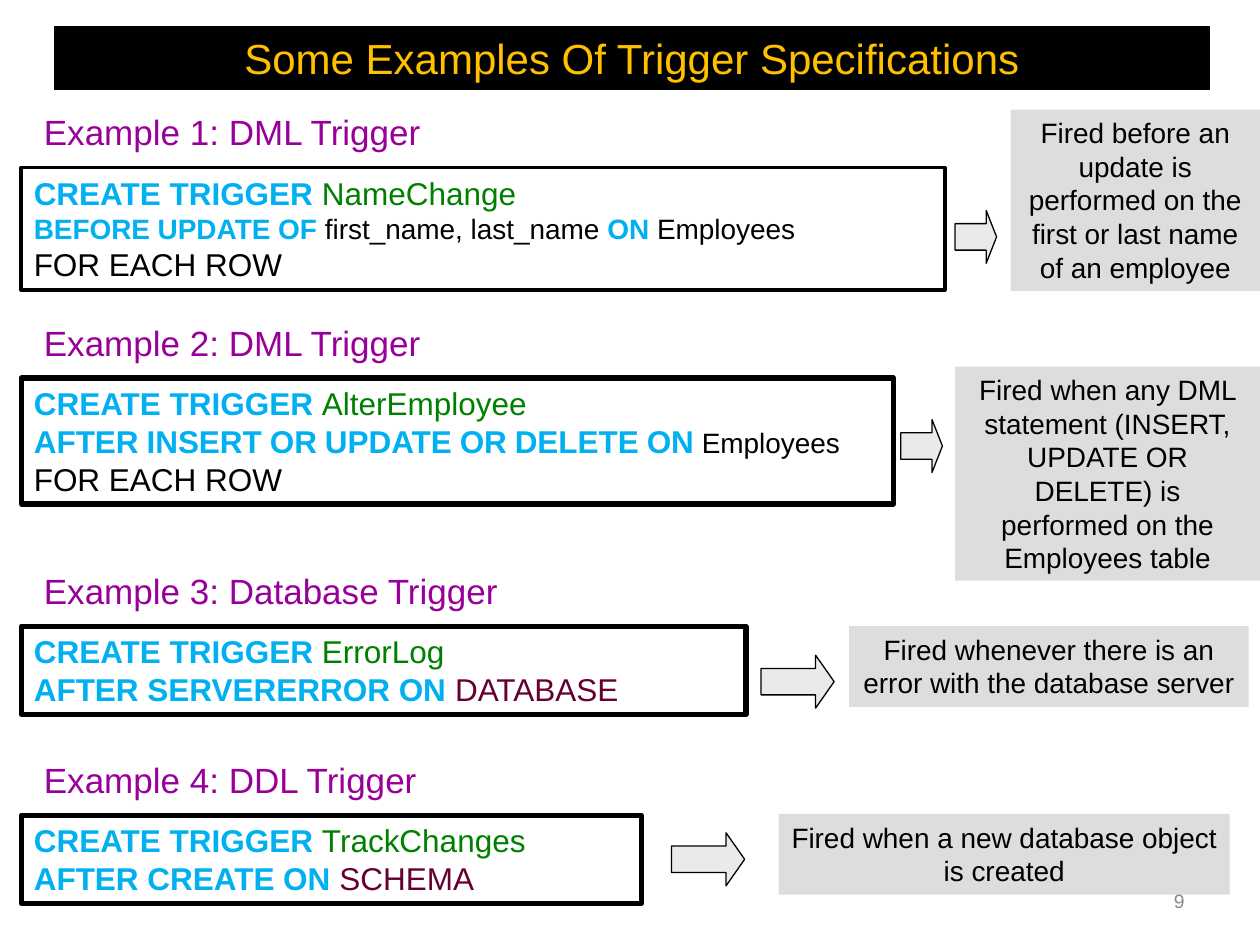
from dataclasses import dataclass

from pptx import Presentation
from pptx.dml.color import RGBColor
from pptx.enum.shapes import MSO_SHAPE as Shape
from pptx.enum.text import MSO_ANCHOR as Anchor, PP_ALIGN as Align
from pptx.util import Emu, Pt

PX = 9144


@dataclass(frozen=True)
class Style:
    """Size, colour and weight of a run."""
    size: int
    color: str
    bold: bool = False


class Theme:
    """Colours, type sizes and font of the slide."""
    font = "Arial"
    black, white = "000000", "FFFFFF"
    note_fill, arrow_fill = "DDDDDD", "EAEAEA"
    title = Style(24, "FFC000")
    heading = Style(20, "990099")
    keyword = Style(18, "00B0F0", True)
    small_keyword = Style(16, "00B0F0", True)
    trigger = Style(18, "008000")
    target = Style(18, "660033")
    plain = Style(18, black)
    small = Style(16, black)
    number = Style(11, "898989")


@dataclass
class Example:
    """One trigger: lefts and sizes in px, tops relative to the heading."""
    top: int
    heading: str
    code_size: tuple
    border: float
    arrow: tuple
    arrow_head: float
    note_box: tuple
    note: str
    lines: list


def create_line(name):
    """Return the opening line of a trigger."""
    return [("CREATE TRIGGER ", Theme.keyword), (name, Theme.trigger)]


def keyword_line(words):
    """Return keyword runs separated by smaller plain spaces."""
    runs = []
    for word in words.split():
        runs += [(word, Theme.keyword), (" ", Theme.small)]
    return runs[:-1]


ROW_LINE = [("FOR EACH ROW", Theme.plain)]

EXAMPLES = [
    Example(83, "Example 1: DML Trigger", (733, 97), 2.25,
            (758, 84, 33, 42), 0.25, (802, 4, 198, 144),
            "Fired before an update is performed on the first or last name of an employee",
            [create_line("NameChange"),
             [("BEFORE UPDATE OF ", Theme.small_keyword),
              ("first_name, last_name ", Theme.small),
              ("ON", Theme.small_keyword), (" Employees", Theme.small)],
             ROW_LINE]),
    Example(250, "Example 2: DML Trigger", (692, 100), 3,
            (715, 83, 33, 42), 0.25, (758, 41, 242, 170),
            "Fired when any DML statement (INSERT, UPDATE OR DELETE) is performed on the Employees table",
            [create_line("AlterEmployee"),
             keyword_line("AFTER INSERT OR UPDATE OR DELETE ON") + [(" Employees", Theme.small)],
             ROW_LINE]),
    Example(447, "Example 3: Database Trigger", (575, 70), 3,
            (604, 73, 58, 42), 0.35, (674, 50, 317, 64),
            "Fired whenever there is an error with the database server",
            [create_line("ErrorLog"),
             [("AFTER SERVERERROR ON", Theme.keyword), (" DATABASE", Theme.target)]]),
    Example(597, "Example 4: DDL Trigger", (492, 70), 3,
            (533, 64, 58, 42), 0.35, (618, 49, 358, 64),
            "Fired when a new database object is created",
            [create_line("TrackChanges"),
             [("AFTER CREATE ON", Theme.keyword), (" SCHEMA", Theme.target)]]),
]


def emu(*lengths):
    """Turn px into EMU."""
    return [Emu(length * PX) for length in lengths]


def paint(shape, fill, border=None):
    """Set the fill and, where a width is given, a black border."""
    shape.fill.solid()
    shape.fill.fore_color.rgb = RGBColor.from_string(fill)
    if border:
        shape.line.color.rgb = RGBColor.from_string(Theme.black)
        shape.line.width = Pt(border)
    else:
        shape.line.fill.background()


def write(shape, lines, align=Align.LEFT, anchor=Anchor.TOP):
    """Fill a shape with paragraphs made of styled runs."""
    frame = shape.text_frame
    frame.word_wrap = True
    frame.vertical_anchor = anchor
    for index, runs in enumerate(lines):
        paragraph = frame.add_paragraph() if index else frame.paragraphs[0]
        paragraph.alignment = align
        for text, style in runs:
            run = paragraph.add_run()
            run.text = text
            run.font.name = Theme.font
            run.font.size = Pt(style.size)
            run.font.bold = style.bold
            run.font.color.rgb = RGBColor.from_string(style.color)


def add_block(slide, kind, box, fill, border=None):
    """Add a flat preset shape."""
    shape = slide.shapes.add_shape(kind, *emu(*box))
    shape.shadow.inherit = False
    paint(shape, fill, border)
    return shape


def add_title(slide, box, text):
    """Place the title band."""
    title = slide.shapes.title
    title.left, title.top, title.width, title.height = emu(*box)
    paint(title, Theme.black, 0.75)
    write(title, [[(text, Theme.title)]], Align.CENTER)


def add_example(slide, left, example):
    """Place heading, code, arrow and note of one trigger."""
    top = example.top
    heading = slide.shapes.add_textbox(*emu(left + 8, top, 450, 44))
    write(heading, [[(example.heading, Theme.heading)]])

    code_box = (left, top + 50, *example.code_size)
    code = add_block(slide, Shape.RECTANGLE, code_box, Theme.white, example.border)
    write(code, example.lines)

    x, y, width, height = example.arrow
    arrow = add_block(slide, Shape.RIGHT_ARROW, (x, top + y, width, height),
                      Theme.arrow_fill, 0.75)
    arrow.adjustments[0] = 0.5
    arrow.adjustments[1] = example.arrow_head

    x, y, width, height = example.note_box
    note = add_block(slide, Shape.RECTANGLE, (x, top + y, width, height), Theme.note_fill)
    write(note, [[(example.note, Theme.small)]], Align.CENTER)


def add_page_number(slide, box, number):
    """Place the page number."""
    shape = slide.shapes.add_textbox(*emu(*box))
    write(shape, [[(number, Theme.number)]], Align.RIGHT, Anchor.MIDDLE)


def main():
    """Build and save the slide."""
    presentation = Presentation()
    presentation.slide_width, presentation.slide_height = emu(1000, 750)
    slide = presentation.slides.add_slide(presentation.slide_layouts[5])
    add_title(slide, (43, 21, 917, 50), "Some Examples Of Trigger Specifications")
    for example in EXAMPLES:
        add_example(slide, 17, example)
    add_page_number(slide, (717, 695, 233, 40), "9")
    presentation.save("out.pptx")


if __name__ == "__main__":
    main()
